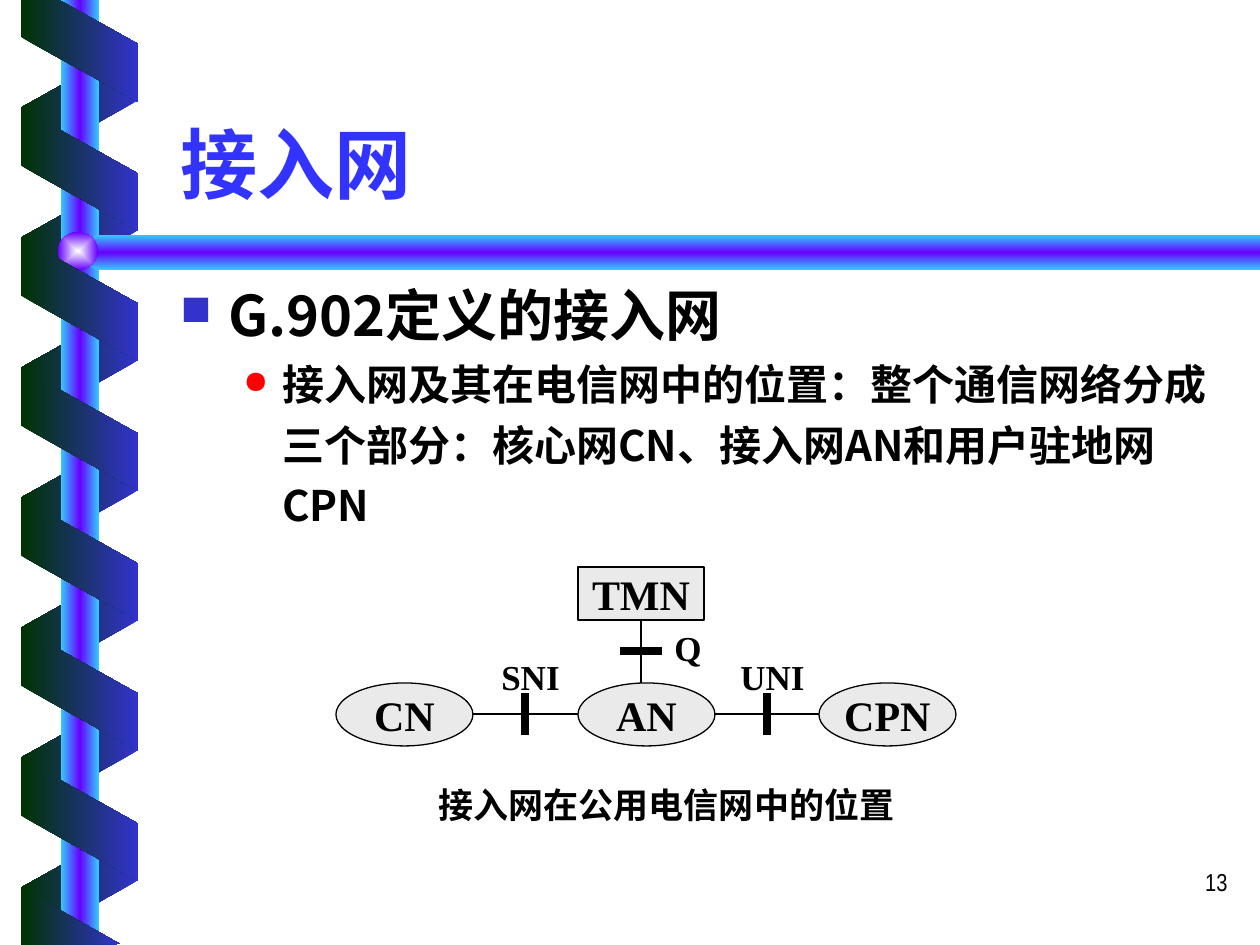
"""Build the slide that places the access network inside the public network."""
from dataclasses import dataclass

import pptx
import pptx.dml.color
import pptx.enum.shapes
import pptx.enum.text
import pptx.oxml
import pptx.oxml.ns
import pptx.util

SCALE = 914400 / 126
SANS, SERIF = "Noto Sans CJK SC", "Times New Roman"
BLACK, GREEN, BLUE = "000000", "003300", "3333CC"
POLE = ["33CCFF", "6600FF", "33CCFF"]
LINEAR = '<a:lin ang="{}" scaled="0"/>'
RADIAL = '<a:path path="rect"><a:fillToRect l="50000" t="50000" r="50000" b="50000"/></a:path>'
SHAPE = pptx.enum.shapes.MSO_SHAPE
ALIGN = pptx.enum.text.PP_ALIGN
ANCHOR = pptx.enum.text.MSO_ANCHOR
FIT = pptx.enum.text.MSO_AUTO_SIZE


@dataclass
class Box:
    x: int
    y: int
    w: int
    h: int


@dataclass
class Label:
    text: str
    box: Box
    kind: SHAPE = SHAPE.FLOWCHART_CONNECTOR


@dataclass
class Line:
    x1: int
    y1: int
    x2: int
    y2: int
    width: float = 0.75


@dataclass
class Bullet:
    text: str
    size: int
    char: str
    color: str
    left: float
    hang: float
    spacing: float


NODES = [
    Label("CN", Box(336, 683, 137, 63)),
    Label("AN", Box(578, 683, 137, 63)),
    Label("CPN", Box(819, 683, 137, 63)),
    Label("TMN", Box(578, 567, 126, 53), SHAPE.RECTANGLE),
]
LINES = [
    Line(473, 714, 578, 714),
    Line(714, 714, 819, 714),
    Line(525, 693, 525, 735, 4.5),
    Line(767, 693, 767, 735, 4.5),
    Line(662, 651, 620, 651, 4.5),
    Line(641, 683, 641, 620),
]
CAPTIONS = [
    Label("SNI", Box(483, 649, 95, 55)),
    Label("UNI", Box(725, 649, 95, 55)),
    Label("Q", Box(662, 620, 42, 55)),
    Label("接入网在公用电信网中的位置", Box(378, 777, 577, 55)),
]
BULLETS = [
    Bullet("G.902定义的接入网", 32, "■", BLUE, 0.38, 0.38, 0.9),
    Bullet("接入网及其在电信网中的位置：整个通信网络分成三个部分：核心网CN、接入网AN和用户驻地网CPN",
           24, "●", "FF0000", 0.81, 0.31, 1.2),
]


def px(n: float) -> int:
    """Turn px into EMU."""
    return pptx.util.Emu(round(n * SCALE))


def rgb(color: str):
    """Turn a hex string into a colour."""
    return pptx.dml.color.RGBColor.from_string(color)


def xml(body: str):
    """Parse one DrawingML element."""
    tag, rest = body[1:].split(" ", 1) if " " in body.split(">")[0] else (body[1:-2], "/>")
    return pptx.oxml.parse_xml(f'<{tag} {pptx.oxml.ns.nsdecls("a")} {rest}')


def place(s, box: Box):
    """Move and size a shape."""
    s.left, s.top, s.width, s.height = px(box.x), px(box.y), px(box.w), px(box.h)


def gradient(s, colors: list[str], direction: str):
    """Give a shape an unoutlined gradient with evenly spaced stops."""
    s.shadow.inherit = False
    s.line.fill.background()
    s.fill.gradient()
    old = s._element.spPr.find(pptx.oxml.ns.qn("a:gradFill"))
    stops = "".join(
        f'<a:gs pos="{i * 100000 // (len(colors) - 1)}"><a:srgbClr val="{c}"/></a:gs>'
        for i, c in enumerate(colors))
    new = xml(f'<a:gradFill rotWithShape="0"><a:gsLst>{stops}</a:gsLst>{direction}</a:gradFill>')
    old.getparent().replace(old, new)


def add_filled(shapes, kind: SHAPE, box: Box, colors: list[str], direction: str):
    """Add a preset shape with a gradient."""
    s = shapes.add_shape(kind, px(box.x), px(box.y), px(box.w), px(box.h))
    gradient(s, colors, direction)
    return s


def add_outline(shapes, points: list[tuple[int, int]], colors: list[str], angle: int):
    """Add a closed polygon with a gradient."""
    builder = shapes.build_freeform(*points[0], scale=SCALE)
    builder.add_line_segments(points[1:], close=True)
    gradient(builder.convert_to_shape(), colors, LINEAR.format(angle * 60000))


def add_band(shapes, y: int, front: bool):
    """Add one turn of the ribbon, in front of or behind the pole."""
    colors = [GREEN, BLUE] if front else [BLUE, GREEN]
    s = add_filled(shapes, SHAPE.PARALLELOGRAM, Box(18, y, 123, 117 if front else 116),
                   colors, LINEAR.format(0))
    s.adjustments[0] = 0.56
    s.rotation = 270 if front else 90
    if not front:
        s._element.spPr.xfrm.set("flipH", "1")


def style(p, size: int, font: str = SERIF, color: str = BLACK, bold: bool = True):
    """Format the runs of a paragraph."""
    for r in p.runs:
        r.font.size, r.font.name, r.font.bold = pptx.util.Pt(size), font, bold
        r.font.color.rgb = rgb(color)
        r.font._element.find(pptx.oxml.ns.qn("a:latin")).addnext(
            xml(f'<a:ea typeface="{SANS}"/>'))


def add_node(shapes, node: Label):
    """Add a network element."""
    b = node.box
    s = shapes.add_shape(node.kind, px(b.x), px(b.y), px(b.w), px(b.h))
    s.shadow.inherit = False
    s.fill.solid()
    s.fill.fore_color.rgb = rgb("EAEAEA")
    s.line.color.rgb, s.line.width = rgb(BLACK), pptx.util.Pt(0.75)
    tf = s.text_frame
    tf.text, tf.word_wrap, tf.vertical_anchor = node.text, False, ANCHOR.MIDDLE
    tf.paragraphs[0].alignment = ALIGN.CENTER
    style(tf.paragraphs[0], 24)


def add_line(shapes, line: Line):
    """Add a straight link or interface mark."""
    s = shapes.add_connector(pptx.enum.shapes.MSO_CONNECTOR.STRAIGHT,
                             px(line.x1), px(line.y1), px(line.x2), px(line.y2))
    s.line.color.rgb, s.line.width = rgb(BLACK), pptx.util.Pt(line.width)
    s._element.spPr.append(xml("<a:effectLst/>"))


def add_text(shapes, text: str, box: Box, align: ALIGN = ALIGN.LEFT):
    """Add a wrapping text box and return its frame."""
    tf = shapes.add_textbox(px(box.x), px(box.y), px(box.w), px(box.h)).text_frame
    tf.text, tf.word_wrap = text, True
    tf.paragraphs[0].alignment = align
    return tf


def add_bullet(p, item: Bullet):
    """Fill a paragraph with one bulleted item."""
    p.text = item.text
    pPr = p._p.get_or_add_pPr()
    pPr.set("marL", str(pptx.util.Inches(item.left)))
    pPr.set("indent", str(-pptx.util.Inches(item.hang)))
    pPr.append(xml(f'<a:buClr ><a:srgbClr val="{item.color}"/></a:buClr>'))
    pPr.append(xml('<a:buSzPct val="75000"/>'))
    pPr.append(xml(f'<a:buChar char="{item.char}"/>'))
    p.line_spacing = item.spacing
    style(p, item.size, SANS)


def add_decoration(shapes):
    """Draw the pole, the bar and the ribbon wound around the pole."""
    for i in range(7):
        add_band(shapes, 46 + 130 * i, False)
    add_filled(shapes, SHAPE.RECTANGLE, Box(61, 0, 38, 945), POLE, LINEAR.format(0))
    add_outline(shapes, [(1260, 235), (96, 235), (76, 252), (96, 270), (1260, 270)], POLE, 90)
    add_filled(shapes, SHAPE.OVAL, Box(58, 232, 40, 38), ["FEFFFF", "6600FF"], RADIAL)
    for i in range(6):
        add_band(shapes, 111 + 130 * i, True)
    add_outline(shapes, [(21, 0), (21, 37), (138, 102), (138, 44), (59, 0)], [GREEN, BLUE], 0)
    add_outline(shapes, [(120, 944), (21, 888), (21, 945)], [GREEN, BLUE], 0)


def main():
    """Build and save the slide."""
    prs = pptx.Presentation()
    prs.slide_width, prs.slide_height = px(1260), px(945)
    slide = prs.slides.add_slide(prs.slide_layouts[5])
    shapes = slide.shapes
    add_decoration(shapes)

    place(shapes.title, Box(168, 58, 1071, 157))
    tf = shapes.title.text_frame
    tf.text, tf.vertical_anchor, tf.auto_size = "接入网", ANCHOR.BOTTOM, FIT.NONE
    tf.paragraphs[0].alignment = ALIGN.LEFT
    style(tf.paragraphs[0], 44, SANS, "3333FF")

    tf = add_text(shapes, "", Box(168, 282, 1071, 265))
    add_bullet(tf.paragraphs[0], BULLETS[0])
    p = tf.add_paragraph()
    p.level = 1
    add_bullet(p, BULLETS[1])

    for node in NODES:
        add_node(shapes, node)
    for line in LINES:
        add_line(shapes, line)
    for caption in CAPTIONS:
        tf = add_text(shapes, caption.text, caption.box, ALIGN.CENTER)
        tf.auto_size = FIT.SHAPE_TO_FIT_TEXT
        style(tf.paragraphs[0], 20)
    tf = add_text(shapes, "13", Box(978, 861, 262, 63), ALIGN.RIGHT)
    style(tf.paragraphs[0], 14, "Arial Narrow", bold=False)
    prs.save("out.pptx")


if __name__ == "__main__":
    main()
